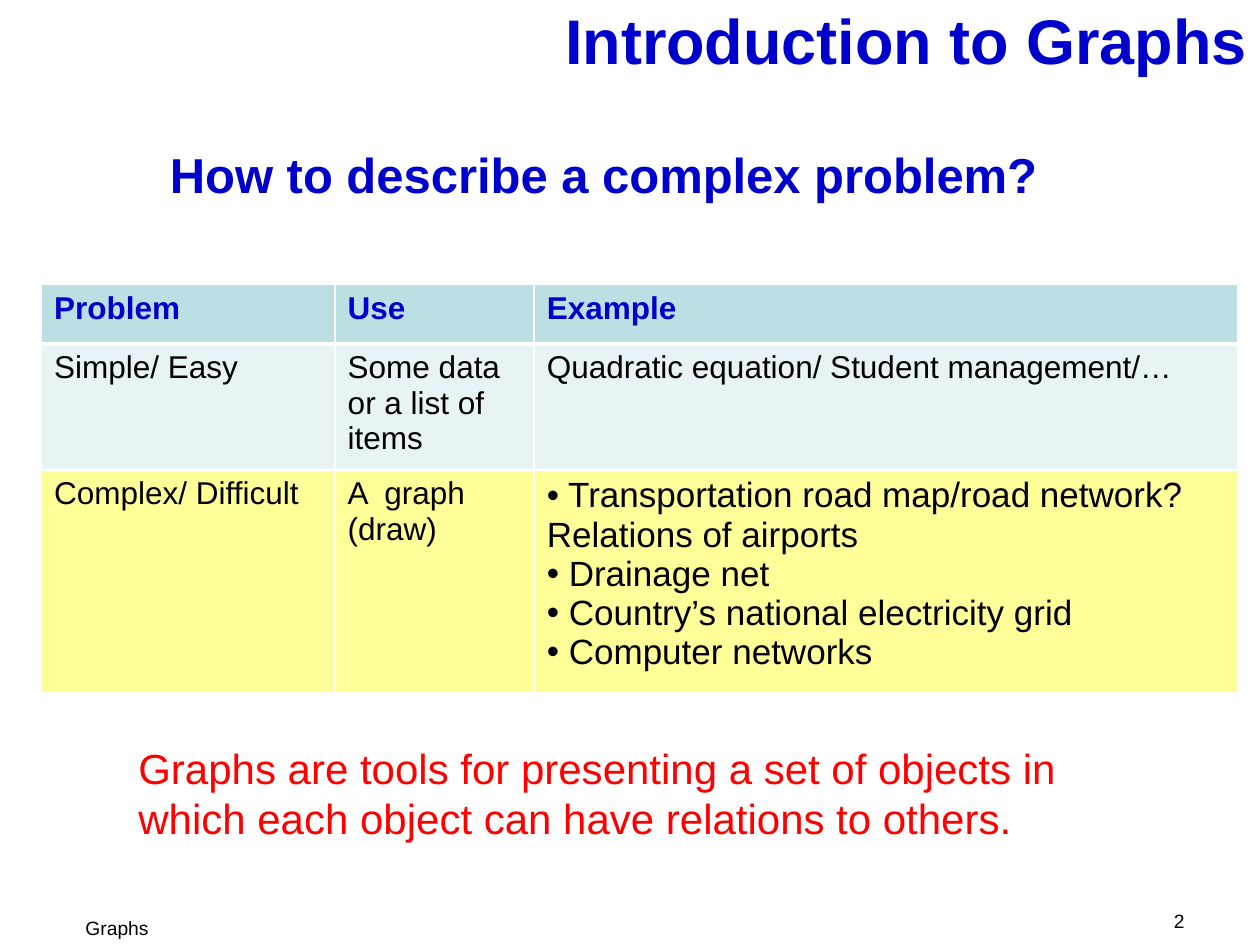
from lxml.etree import SubElement
from pptx import Presentation
from pptx.dml.color import RGBColor
from pptx.enum.text import MSO_ANCHOR as Anchor, PP_ALIGN as Align
from pptx.oxml.ns import qn
from pptx.util import Inches, Pt

BLUE = RGBColor(0x00, 0x00, 0xCC)
BLACK = RGBColor(0x00, 0x00, 0x00)
RED = RGBColor(0xFF, 0x00, 0x00)
WHITE = RGBColor(0xFF, 0xFF, 0xFF)
TEAL = RGBColor(0xBB, 0xE0, 0xE3)
PALE_TEAL = RGBColor(0xE7, 0xF3, 0xF4)
YELLOW = RGBColor(0xFF, 0xFF, 0x99)

HEADINGS = ["Problem", "Use", "Example"]
SIMPLE = ["Simple/ Easy", "Some data or a list of items",
          "Quadratic equation/ Student management/…"]
COMPLEX = ["Complex/ Difficult", "A  graph (draw)", [
    "Transportation road map/road network? Relations of airports",
    "Drainage net",
    "Country’s national electricity grid",
    "Computer networks",
]]


class SlideBuilder:
    font = "Arial"

    def __init__(self, slide):
        self.slide = slide

    def add_run(self, paragraph, text, size, color, bold=False):
        run = paragraph.add_run()
        run.text = text
        run.font.name = self.font
        run.font.size = Pt(size)
        run.font.bold = bold
        run.font.color.rgb = color

    def text(self, box, words, size, color, bold=False, align=Align.LEFT,
             anchor=Anchor.TOP):
        frame = self.slide.shapes.add_textbox(*map(Inches, box)).text_frame
        frame.word_wrap = True
        frame.vertical_anchor = anchor
        paragraph = frame.paragraphs[0]
        paragraph.alignment = align
        self.add_run(paragraph, words, size, color, bold)

    def table(self, left, top, widths, heights):
        table = self.slide.shapes.add_table(
            len(heights), len(widths), Inches(left), Inches(top),
            Inches(sum(widths)), Inches(sum(heights))).table
        table.first_row = table.horz_banding = False
        for column, width in zip(table.columns, widths):
            column.width = Inches(width)
        for row, height in zip(table.rows, heights):
            row.height = Inches(height)
        return table

    def table_row(self, row, contents, fill, color=BLACK, bold=False,
                  above=1, below=1):
        """Fill one row; a list in contents becomes a bulleted cell."""
        for cell, content in zip(row.cells, contents):
            self.borders(cell, above, below)
            cell.fill.solid()
            cell.fill.fore_color.rgb = fill
            if isinstance(content, list):
                self.bullets(cell.text_frame, content)
            else:
                self.add_run(cell.text_frame.paragraphs[0], content, 18,
                             color, bold)

    def bullets(self, frame, items):
        for index, item in enumerate(items):
            paragraph = frame.add_paragraph() if index else frame.paragraphs[0]
            paragraph.level = 1
            properties = paragraph._p.get_or_add_pPr()
            properties.set("marL", "0")
            properties.set("indent", "0")
            SubElement(properties, qn("a:buFont"), typeface=self.font)
            SubElement(properties, qn("a:buChar"), char="•")
            self.add_run(paragraph, " " + item, 20, BLACK)

    def borders(self, cell, above, below):
        properties = cell._tc.get_or_add_tcPr()
        for side, width in zip("LRTB", (1, 1, above, below)):
            line = SubElement(properties, qn(f"a:ln{side}"), w=str(Pt(width)))
            solid = SubElement(line, qn("a:solidFill"))
            SubElement(solid, qn("a:srgbClr"), val=str(WHITE))


def main():
    deck = Presentation()
    deck.slide_width, deck.slide_height = Inches(10), Inches(7.5)
    page = SlideBuilder(deck.slides.add_slide(deck.slide_layouts[6]))

    page.text((0.5, 0, 9.5, 0.62), "Introduction to Graphs", 36, BLUE,
              bold=True, align=Align.RIGHT, anchor=Anchor.MIDDLE)
    page.text((1.25, 1.1, 8.25, 0.58), "How to describe a complex problem?",
              28, BLUE, bold=True)

    problems = page.table(0.33, 2.26, [2.33, 1.58, 5.58], [0.47, 0.93, 1.65])
    header, simple, complex_row = problems.rows
    page.table_row(header, HEADINGS, TEAL, BLUE, bold=True, below=3)
    page.table_row(simple, SIMPLE, PALE_TEAL, above=3)
    page.table_row(complex_row, COMPLEX, YELLOW)

    page.text((1, 5.84, 8, 0.91),
              "Graphs are tools for presenting a set of objects in which "
              "each object can have relations to others.", 24, RED)
    page.text((0.58, 7.22, 5.67, 0.28), "Graphs", 11, BLACK)
    page.text((8.75, 7.17, 0.75, 0.25), "2", 11, BLACK, align=Align.RIGHT)

    deck.save("out.pptx")


if __name__ == "__main__":
    main()
